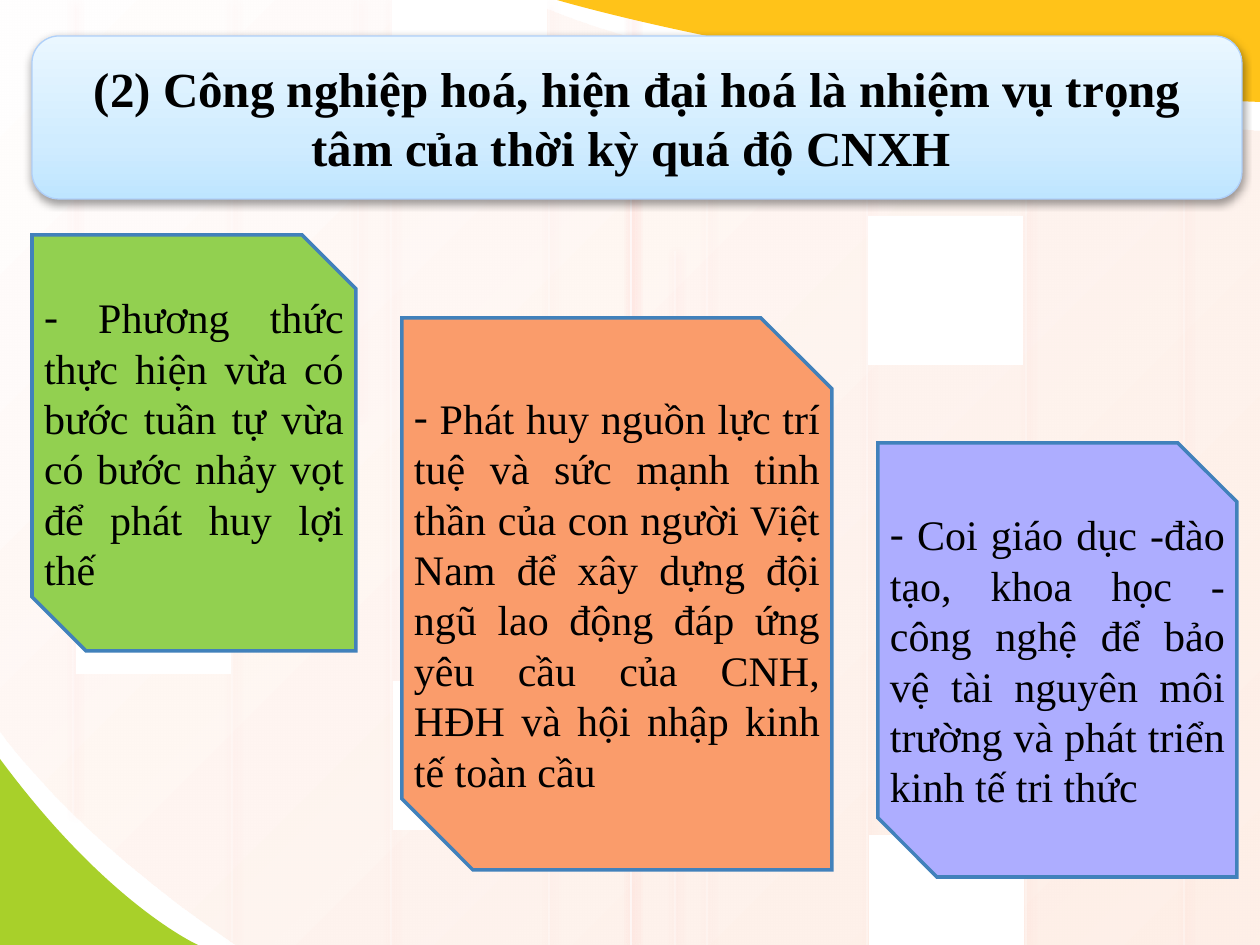
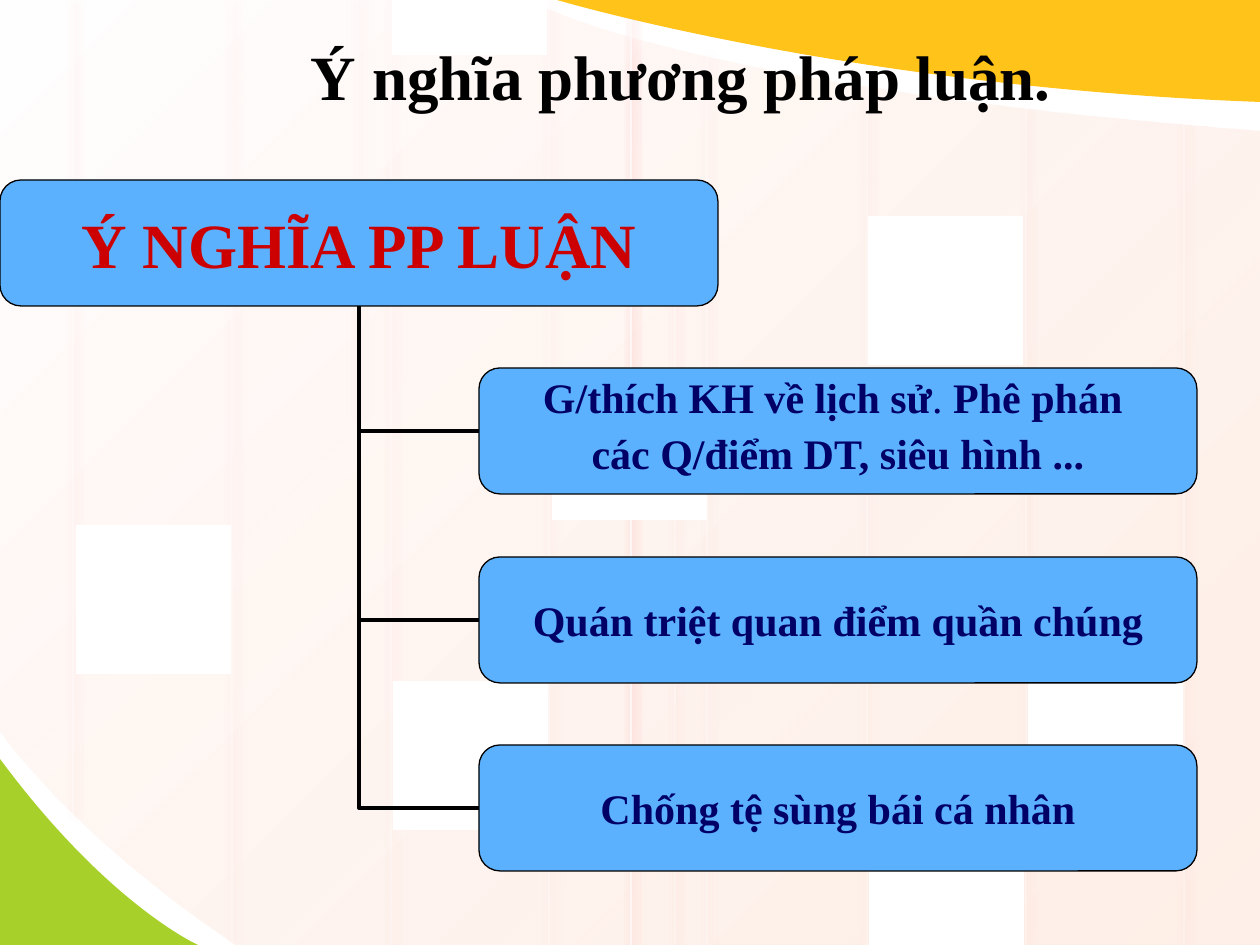
from lxml import etree
from pptx import Presentation
from pptx.dml.color import RGBColor
from pptx.enum.shapes import MSO_CONNECTOR, MSO_SHAPE
from pptx.enum.text import MSO_ANCHOR, MSO_AUTO_SIZE, PP_ALIGN
from pptx.oxml.ns import qn
from pptx.util import Emu, Pt

SCALE = 914400 / 126
W, H = 1260, 945
FONT = "Times New Roman"
TITLE_ONLY = 5
INSETS = (12, 6)
STRAIGHT, ELBOW = MSO_CONNECTOR.STRAIGHT, MSO_CONNECTOR.ELBOW
RECT, ROUND_RECT = MSO_SHAPE.RECTANGLE, MSO_SHAPE.ROUNDED_RECTANGLE
TOP, MIDDLE = MSO_ANCHOR.TOP, MSO_ANCHOR.MIDDLE
LEFT, CENTER, JUSTIFY = PP_ALIGN.LEFT, PP_ALIGN.CENTER, PP_ALIGN.JUSTIFY
NO_AUTOFIT = MSO_AUTO_SIZE.NONE

BLACK, WHITE, NAVY, RED = "000000", "FFFFFF", "000066", "CC0000"
GREEN, YELLOW, BOX_BLUE, CARD_LINE = "A8D02A", "FFC319", "5CB1FE", "4181BB"

STRIPES = [
    (73, 0, 814), (232, 0, 941), (391, 0, H), (549, 0, H), (707, 54, H),
    (867, 86, H), (1026, 107, H), (1184, 123, H), (358, 0, 416), (631, 0, 843),
    (631, 0, H), (631, 0, H), (631, 47, H), (675, 251, H),
]
TILES = [
    (552, 371, 149), (1028, 681, 149), (76, 525, 149), (869, 835, 110),
    (392, 0, 55), (393, 681, 149), (868, 216, 149),
]
CARDS = [
    (32, 235, 324, 416, "92D050",
     " Phương thức thực hiện vừa có bước tuần tự vừa có bước nhảy vọt "
     "để phát huy lợi thế"),
    (402, 318, 430, 552, "FA9C6B",
     " Phát huy nguồn lực trí tuệ và sức mạnh tinh thần của con người Việt Nam "
     "để xây dựng đội ngũ lao động đáp ứng yêu cầu của CNH, HĐH và hội nhập "
     "kinh tế toàn cầu"),
    (878, 443, 359, 434, "ADADFF",
     " Coi giáo dục -đào tạo, khoa học - công nghệ để bảo vệ tài nguyên "
     "môi trường và phát triển kinh tế tri thức"),
]
MEANINGS = [
    [[("G/thích KH về lịch sử", True), (". ", False), ("Phê phán ", True)],
     [("các Q/điểm DT, siêu hình ...", True)]],
    [[("Quán triệt quan điểm quần chúng", True)]],
    [[("Chống tệ sùng bái cá nhân", True)]],
]


def px(value):
    """Turn pixels into EMU."""
    return Emu(round(value * SCALE))


def rgb(color):
    """Turn a hex string into a colour."""
    return RGBColor.from_string(color)


def sub(parent, tag, **attrs):
    """Append a child element with attributes."""
    return etree.SubElement(parent, qn(tag), {k: str(v) for k, v in attrs.items()})


def paint(sp, fill, line=None, width=0.75):
    """Give a shape a flat fill, an optional outline and no shadow."""
    sp.shadow.inherit = False
    sp.fill.solid()
    sp.fill.fore_color.rgb = rgb(fill)
    if line:
        sp.line.color.rgb = rgb(line)
        sp.line.width = Pt(width)
    else:
        sp.line.fill.background()


def set_gradient(sp, stops, angle):
    """Replace a shape's fill by a linear gradient of (position, colour, alpha)."""
    sp.fill.background()
    sp_pr = sp.element.spPr
    grad = etree.Element(qn("a:gradFill"), rotWithShape="1")
    stop_list = sub(grad, "a:gsLst")
    for position, color, alpha in stops:
        stop = sub(stop_list, "a:gs", pos=position * 1000)
        clr = sub(stop, "a:srgbClr", val=color)
        sub(clr, "a:alpha", val=alpha * 1000)
    sub(grad, "a:lin", ang=angle * 60000, scaled=0)
    sp_pr.replace(sp_pr.find(qn("a:noFill")), grad)


def add_shadow(sp, color, alpha, distance, angle):
    """Add an outer shadow to a shape's empty effect list."""
    effects = sp.element.spPr.find(qn("a:effectLst"))
    shadow = sub(effects, "a:outerShdw", blurRad=Pt(5), dist=Pt(distance),
                 dir=angle * 60000, algn="ctr", rotWithShape=0)
    clr = sub(shadow, "a:srgbClr", val=color)
    sub(clr, "a:alpha", val=alpha * 1000)


def add_connector(s, kind, start, end, color, width):
    """Add a line without its default shadow."""
    line = s.shapes.add_connector(kind, *map(px, start + end))
    line.line.color.rgb = rgb(color)
    line.line.width = Pt(width)
    sub(line.element.spPr, "a:effectLst")
    return line


def add_shape(s, kind, left, top, width, height, fill, line=None):
    """Add a preset shape."""
    sp = s.shapes.add_shape(kind, px(left), px(top), px(width), px(height))
    paint(sp, fill, line)
    return sp


def add_outline(s, points, fill, line=None, width=0.75, curves=()):
    """Add a closed outline; each curve index starts three cubic control points."""
    builder = s.shapes.build_freeform(*points[0], scale=SCALE)
    builder.add_line_segments(points[1:], close=True)
    sp = builder.convert_to_shape()
    paint(sp, fill, line, width)
    segments = sp.element.findall(".//" + qn("a:lnTo"))
    for first in curves:
        bend = etree.Element(qn("a:cubicBezTo"))
        segments[first - 1].addprevious(bend)
        for segment in segments[first - 1:first + 2]:
            bend.append(segment[0])
            segment.getparent().remove(segment)
    return sp


def set_frame(sp, anchor, insets=INSETS):
    """Set wrapping, anchor and insets of a text frame."""
    tf = sp.text_frame
    tf.word_wrap = True
    tf.auto_size = NO_AUTOFIT
    tf.vertical_anchor = anchor
    tf.margin_left = tf.margin_right = px(insets[0])
    tf.margin_top = tf.margin_bottom = px(insets[1])
    return tf


def add_run(p, text, size, color, bold):
    """Add one formatted run."""
    r = p.add_run()
    r.text = text
    r.font.name = FONT
    r.font.size = Pt(size)
    r.font.bold = bold
    r.font.color.rgb = rgb(color)


def set_title(s, box, text, size, align, anchor):
    """Place and fill the title placeholder."""
    sp = s.shapes.title
    sp.left, sp.top, sp.width, sp.height = map(px, box)
    p = set_frame(sp, anchor).paragraphs[0]
    p.alignment = align
    add_run(p, text, size, BLACK, True)


def add_backdrop(s):
    """Draw the shared background."""
    panel = add_outline(
        s, [(W, 131), (W, H), (236, H), (68, 832), (1, 731), (1, 732), (0, 0),
            (529, 0), (529, 1), (675, 87), (W, 131)], WHITE, curves=(3, 8))
    set_gradient(panel, [(0, "FFFEFE", 100), (100, "FEE9DE", 70)], 45)
    add_outline(s, [(0, 759), (0, H), (198, H), (198, H), (108, 905), (0, 759)],
                GREEN, curves=(3,))
    for x, top, bottom in STRIPES:
        stripe = add_connector(s, STRAIGHT, (x, top), (x, bottom), WHITE, 0.75)
        clr = stripe.element.spPr.find(".//" + qn("a:srgbClr"))
        sub(clr, "a:alpha", val=50000)
        add_shadow(stripe, "FF7575", 35, 1.4, 45)
    for left, top, height in TILES:
        add_shape(s, RECT, left, top, 155, height, WHITE)
    add_outline(s, [(W, 102), (W, 0), (557, 0), (557, 0), (849, 87), (W, 102)],
                YELLOW, curves=(3,))


def move_to_master(prs, s):
    """Move the drawn shapes of a slide behind the master's placeholders."""
    tree = prs.slide_master.shapes.element
    drawn = [sp for sp in s.shapes if not sp.is_placeholder]
    for i, sp in enumerate(drawn):
        sp.element.find(".//" + qn("p:cNvPr")).set("id", str(100 + i))
        tree.insert(2 + i, sp.element)


def add_title_panel(s):
    """Add the glossy panel behind the title."""
    panel = add_shape(s, ROUND_RECT, 32, 36, 1210, 163, WHITE, "AFD0FA")
    set_gradient(panel, [(0, "BEE5FF", 100), (35, "D0ECFF", 100),
                         (100, "EAF7FF", 100)], 270)
    add_shadow(panel, BLACK, 38, 1.6, 90)
    s.shapes.element.insert(2, panel.element)


def add_card(s, left, top, width, height, fill, text):
    """Add a card with two snipped corners and a dashed paragraph."""
    right, bottom, snip = left + width, top + height, width // 6
    sp = add_outline(s, [(left, top), (right - snip, top), (right, top + snip),
                         (right, bottom), (left + snip, bottom),
                         (left, bottom - snip)], fill, CARD_LINE, 2)
    sub(sp.element.spPr.find(qn("a:ln")), "a:miter", lim=800000)
    p = set_frame(sp, MIDDLE).paragraphs[0]
    p.alignment = JUSTIFY
    p_pr = p._p.get_or_add_pPr()
    p_pr.set("marL", "0")
    p_pr.set("indent", str(-px(21)))
    sub(sub(p_pr, "a:buClr"), "a:srgbClr", val=BLACK)
    sub(p_pr, "a:buFont", typeface=FONT)
    sub(p_pr, "a:buChar", char="-")
    add_run(p, text, 24, BLACK, False)


def add_box(s, left, top, lines, size, color):
    """Add a rounded box of the hierarchy."""
    sp = add_shape(s, ROUND_RECT, left, top, 718, 126, BOX_BLUE, BLACK)
    tf = set_frame(sp, MIDDLE, (0, 0))
    for i, runs in enumerate(lines):
        p = tf.add_paragraph() if i else tf.paragraphs[0]
        p.alignment = CENTER
        if len(lines) > 1:
            p.line_spacing = 0.7
        if i:
            p.space_before = Pt(12)
        for text, bold in runs:
            add_run(p, text, size, color, bold)
    return sp


def link(s, parent, child, start, end):
    """Join a child's left side to its parent's bottom with one bend."""
    line = add_connector(s, ELBOW, start, end, BLACK, 2.25)
    line.begin_connect(child, 1)
    line.end_connect(parent, 2)
    sp_pr = line.element.spPr
    sp_pr.find(qn("a:prstGeom")).set("prst", "bentConnector2")
    xfrm = sp_pr.find(qn("a:xfrm"))
    xfrm.flipH = xfrm.flipV = False
    xfrm.set("rot", str(180 * 60000))


def build_tasks(s):
    """Build the slide about the central task."""
    add_title_panel(s)
    set_title(s, (40, 36, 1194, 163),
              "(2) Công nghiệp hoá, hiện đại hoá là nhiệm vụ trọng tâm "
              "của thời kỳ quá độ CNXH ", 28, CENTER, MIDDLE)
    for card in CARDS:
        add_card(s, *card)


def build_meanings(s):
    """Build the slide with the hierarchy of meanings."""
    set_title(s, (299, 31, 866, 88), "Ý nghĩa phương pháp luận.", 36, LEFT, TOP)
    parent = add_box(s, 0, 180, [[("Ý NGHĨA PP LUẬN", True)]], 36, RED)
    for i, lines in enumerate(MEANINGS, start=1):
        top = 180 + 377 * i // 2
        child = add_box(s, 479, top, lines, 24, NAVY)
        link(s, parent, child, (479, top + 63), (359, 306))


def main():
    """Build and save the presentation."""
    prs = Presentation()
    prs.slide_width, prs.slide_height = px(W), px(H)
    layout = prs.slide_layouts[TITLE_ONLY]
    tasks, meanings = (prs.slides.add_slide(layout) for _ in range(2))
    add_backdrop(tasks)
    move_to_master(prs, tasks)
    build_tasks(tasks)
    build_meanings(meanings)
    prs.save("out.pptx")


if __name__ == "__main__":
    main()
